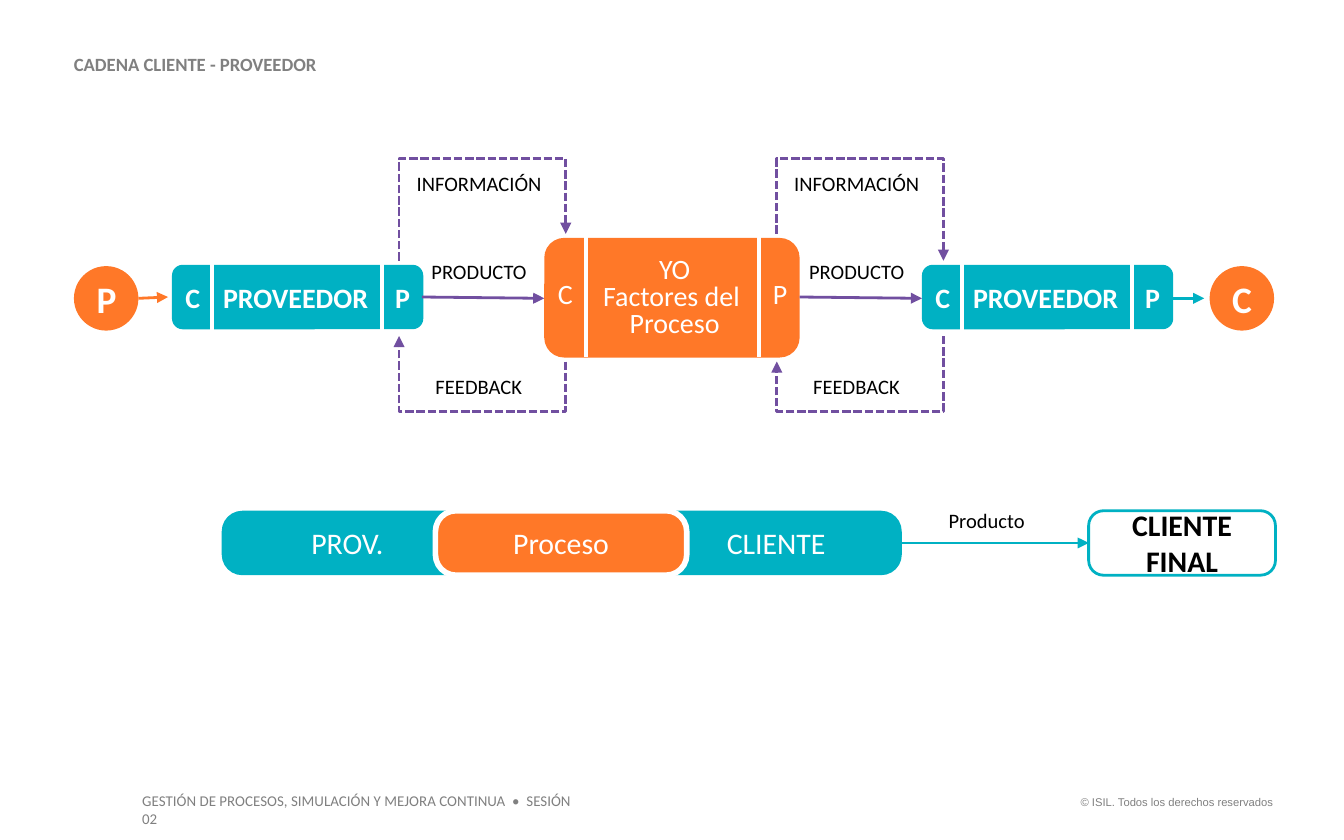
from dataclasses import dataclass
from typing import NamedTuple

from lxml import etree
from pptx import Presentation
from pptx.dml.color import RGBColor
from pptx.enum.dml import MSO_LINE
from pptx.enum.shapes import MSO_CONNECTOR, MSO_SHAPE
from pptx.enum.text import MSO_ANCHOR, PP_ALIGN
from pptx.oxml.ns import qn
from pptx.util import Inches, Pt

ROUNDED, ELLIPSE = MSO_SHAPE.ROUNDED_RECTANGLE, MSO_SHAPE.OVAL
STRAIGHT, ELBOW = MSO_CONNECTOR.STRAIGHT, MSO_CONNECTOR.ELBOW
LEFT, CENTER, RIGHT = PP_ALIGN.LEFT, PP_ALIGN.CENTER, PP_ALIGN.RIGHT
MIDDLE, BOTTOM = MSO_ANCHOR.MIDDLE, MSO_ANCHOR.BOTTOM
DASHED = MSO_LINE.SQUARE_DOT
TITLE_ONLY = 5


@dataclass(frozen=True)
class Theme:
    teal: str = "00B1C3"
    orange: str = "FF7828"
    purple: str = "714FA0"
    gray: str = "808080"
    white: str = "FFFFFF"
    black: str = "000000"
    font: str = "Calibri"
    legal_font: str = "Arial"
    legal: float = 6
    footer: float = 8
    title: float = 10
    label: float = 11
    role: float = 15
    stage: float = 16
    end: float = 20
    thin: float = 1.5
    divider: float = 2.25
    outline: float = 3


T = Theme()


class Box(NamedTuple):
    left: float
    top: float
    width: float
    height: float

    def emu(self):
        return [Inches(v) for v in self]


class Style(NamedTuple):
    size: float
    color: str
    bold: bool = False
    font: str = T.font
    align: PP_ALIGN = LEFT
    spacing: float = 1.0


class Edges(NamedTuple):
    """Heights where the loops meet the top and bottom of a block."""
    top: float
    bottom: float


LABEL = Style(T.label, T.black)
ROLE = Style(T.role, T.white, bold=True)
PROCESS = Style(T.role, T.white, align=CENTER, spacing=0.8)
STAGE = Style(T.stage, T.white, align=CENTER)
END = Style(T.end, T.white, bold=True, align=CENTER)
SUPPLIER_EDGES = Edges(1.94, 2.5)
PROCESS_EDGES = Edges(1.74, 2.69)


def rgb(color: str) -> RGBColor:
    return RGBColor.from_string(color)


def write(tf, paragraphs: list[list[str]], style: Style) -> None:
    """Fill a frame; each paragraph is a list of lines split by line breaks."""
    for i, lines in enumerate(paragraphs):
        p = tf.paragraphs[0] if i == 0 else tf.add_paragraph()
        p.alignment, p.line_spacing = style.align, style.spacing
        for j, line in enumerate(lines):
            if j:
                p.add_line_break()
            r = p.add_run()
            r.text = line
            r.font.name, r.font.size = style.font, Pt(style.size)
            r.font.bold, r.font.color.rgb = style.bold, rgb(style.color)


def clear_margins(tf) -> None:
    tf.margin_left = tf.margin_right = tf.margin_top = tf.margin_bottom = 0


def add_text(shapes, box: Box, paragraphs: list[list[str]], style: Style,
             padded: bool = False, wrap: bool = False) -> None:
    tf = shapes.add_textbox(*box.emu()).text_frame
    tf.word_wrap = wrap
    if not padded:
        clear_margins(tf)
    write(tf, paragraphs, style)


def add_block(shapes, kind: MSO_SHAPE, box: Box, fill: str | None = None,
              text: str = "", style: Style = STAGE, line: str | None = None,
              width: float = T.thin, corner: float | None = None) -> None:
    s = shapes.add_shape(kind, *box.emu())
    s.shadow.inherit = False
    if corner is not None:
        s.adjustments[0] = corner
    if fill:
        s.fill.solid()
        s.fill.fore_color.rgb = rgb(fill)
    else:
        s.fill.background()
    if line:
        s.line.color.rgb, s.line.width = rgb(line), Pt(width)
    else:
        s.line.fill.background()
    if text:
        s.text_frame.vertical_anchor = MIDDLE
        write(s.text_frame, [[text]], style)


def add_line(shapes, x1: float, y1: float, x2: float, y2: float, color: str,
             width: float = T.thin, arrow: bool = True, kind: MSO_CONNECTOR = STRAIGHT):
    c = shapes.add_connector(kind, *(Inches(v) for v in (x1, y1, x2, y2)))
    c.line.color.rgb, c.line.width = rgb(color), Pt(width)
    if kind == ELBOW:
        c.line.dash_style = DASHED
    spPr = c._element.spPr
    if arrow:
        etree.SubElement(spPr.find(qn("a:ln")), qn("a:tailEnd"), type="triangle")
    etree.SubElement(spPr, qn("a:effectLst"))
    return c


def add_loop(shapes, x1: float, y1: float, x2: float, y2: float, turn: float) -> None:
    """Dashed arrow that leaves vertically, runs along y = turn and comes back.

    The elbow runs sideways by nature, so it is laid out turned by 90 degrees."""
    cx, cy = (x1 + x2) / 2, (y1 + y2) / 2
    half_w, half_h = abs(y2 - y1) / 2, abs(x2 - x1) / 2
    c = add_line(shapes, cx - half_w, cy - half_h, cx + half_w, cy + half_h,
                 T.purple, kind=ELBOW)
    spPr = c._element.spPr
    xfrm = spPr.find(qn("a:xfrm"))
    xfrm.set("rot", str(90 * 60000))
    xfrm.set("flipH", str(int(y2 < y1)))
    xfrm.set("flipV", str(int(x2 > x1)))
    guides = spPr.find(qn("a:prstGeom")).get_or_add_avLst()
    bend = round((turn - y1) / (y2 - y1) * 100000)
    etree.SubElement(guides, qn("a:gd"), name="adj1", fmla=f"val {bend}")


def add_supplier(shapes, x: float) -> None:
    group = shapes.add_group_shape().shapes
    add_block(group, ROUNDED, Box(x, 1.97, 1.87, 0.48), T.teal)
    for text, dx, width in (("C", 0.1, 0.11), ("PROVEEDOR", 0.38, 1.09), ("P", 1.66, 0.11)):
        add_text(group, Box(x + dx, 2.09, width, 0.25), [[text]], ROLE)
    for dx in (0.3, 1.56):
        add_line(group, x + dx, 1.93, x + dx, 2.5, T.white, T.divider, arrow=False)


def add_process(shapes) -> None:
    add_block(shapes, ROUNDED, Box(4.05, 1.77, 1.9, 0.89), T.orange)
    add_text(shapes, Box(4.48, 1.92, 1.08, 0.61), [["YO"], ["Factores del ", "Proceso"]], PROCESS)
    for text, x in (("C", 4.15), ("P", 5.75)):
        add_text(shapes, Box(x, 2.11, 0.11, 0.2), [[text]], PROCESS)
    for x in (4.36, 5.65):
        add_line(shapes, x, 1.72, x, 2.66, T.white, T.divider, arrow=False)


def add_exchange(shapes, x: float, left: Edges, right: Edges) -> None:
    """Information, product and feedback flows between two neighbouring blocks."""
    for text, dx, y, width in (("INFORMACIÓN", 0.13, 1.27, 0.94),
                               ("PRODUCTO", 0.24, 1.93, 0.72),
                               ("FEEDBACK", 0.27, 2.78, 0.65)):
        add_text(shapes, Box(x + dx, y, width, 0.19), [[text]], LABEL)
    far = x + 1.24
    add_loop(shapes, x, left.top, far, right.top, 1.18)
    add_line(shapes, x + 0.17, 2.21, x + 1.08, 2.22, T.purple)
    add_loop(shapes, far, right.bottom, x, left.bottom, 3.06)


def add_title(s) -> None:
    title = s.shapes.title
    title.left, title.top, title.width, title.height = Box(0.55, 0.41, 3.09, 0.15).emu()
    tf = title.text_frame
    tf.vertical_anchor = BOTTOM
    clear_margins(tf)
    write(tf, [["CADENA CLIENTE - PROVEEDOR"]], Style(T.title, T.gray, bold=True, spacing=0.9))


def add_summary(shapes) -> None:
    for text, x, fill, line in (("PROV.", 1.65, T.teal, None), ("CLIENTE", 4.84, T.teal, None),
                                ("Proceso", 3.24, T.orange, T.white)):
        add_block(shapes, ROUNDED, Box(x, 3.8, 1.87, 0.48), fill, text,
                  line=line, width=T.outline, corner=0.32)
    add_block(shapes, ROUNDED, Box(8.1, 3.8, 1.39, 0.48), text="CLIENTE FINAL", line=T.teal,
              style=STAGE._replace(color=T.black, bold=True), corner=0.23)
    add_line(shapes, 6.71, 4.04, 8.1, 4.04, T.teal)
    add_text(shapes, Box(6.96, 3.73, 0.77, 0.29), [["Producto"]], LABEL, padded=True)


def main() -> None:
    prs = Presentation()
    prs.slide_width, prs.slide_height = Inches(10), Inches(6.25)
    s = prs.slides.add_slide(prs.slide_layouts[TITLE_ONLY])
    sp = s.shapes
    add_title(s)
    add_text(sp, Box(7.88, 5.87, 1.69, 0.2), [["© ISIL. Todos los derechos reservados"]],
             Style(T.legal, T.gray, font=T.legal_font, align=RIGHT), padded=True)
    add_text(sp, Box(0.96, 5.84, 3.53, 0.24),
             [["GESTIÓN DE PROCESOS, SIMULACIÓN Y MEJORA CONTINUA  •  SESIÓN 02"]],
             Style(T.footer, T.gray), padded=True, wrap=True)
    for text, x in (("P", 0.55), ("C", 9)):
        add_block(sp, ELLIPSE, Box(x, 1.98, 0.48, 0.48), T.orange, text, END)
    for x in (1.28, 6.86):
        add_supplier(sp, x)
    add_process(sp)
    add_line(sp, 1.03, 2.22, 1.25, 2.21, T.orange)
    add_line(sp, 8.73, 2.22, 8.96, 2.22, T.teal)
    add_exchange(sp, 2.97, SUPPLIER_EDGES, PROCESS_EDGES)
    add_exchange(sp, 5.78, PROCESS_EDGES, SUPPLIER_EDGES)
    add_summary(sp)
    prs.save("out.pptx")


if __name__ == "__main__":
    main()
